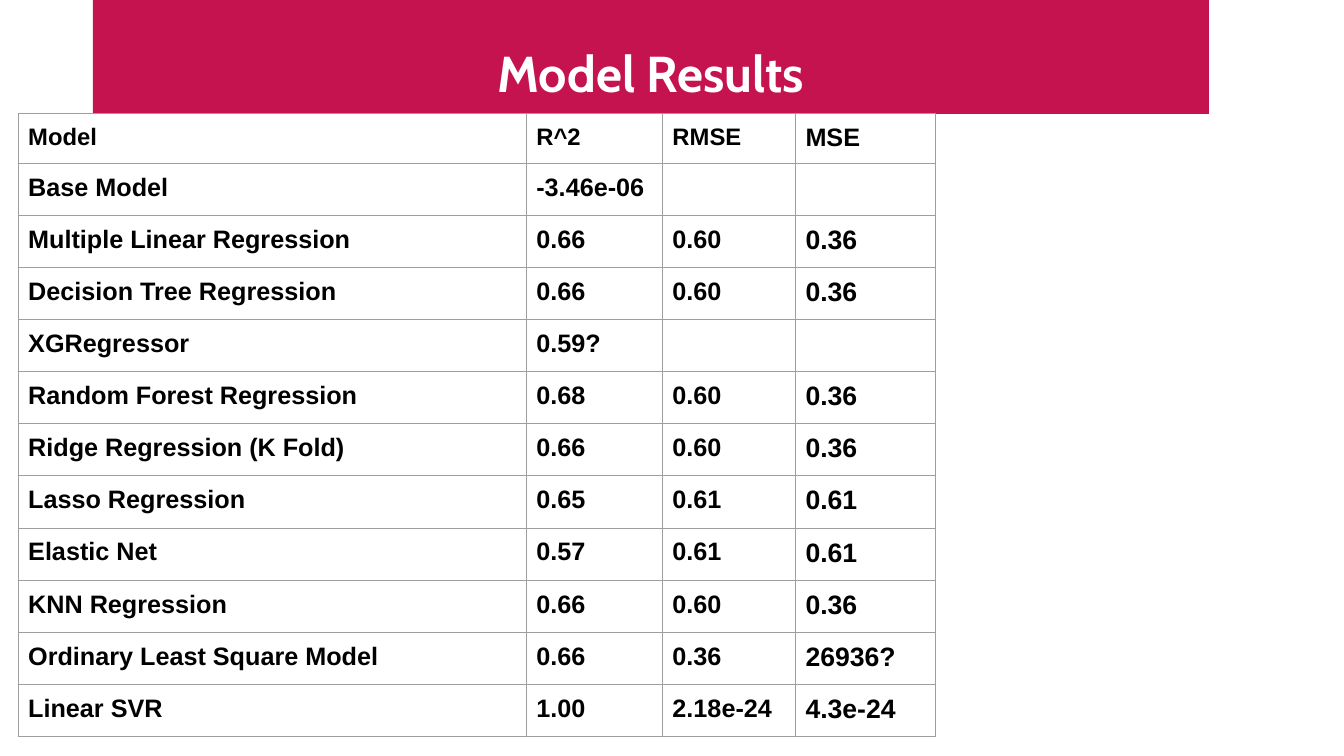
from lxml.etree import SubElement
from pptx import Presentation
from pptx.dml.color import RGBColor
from pptx.enum.text import MSO_ANCHOR, MSO_AUTO_SIZE, PP_ALIGN
from pptx.oxml.ns import qn
from pptx.util import Inches, Pt

CRIMSON, WHITE, BLACK, GREY = "C4134E", "FFFFFF", "000000", "9E9E9E"

COLUMN_WIDTHS = [5.04, 1.35, 1.32, 1.39]
TABLE_HEIGHT, HEADER_HEIGHT = 6.18, 0.49
HEADER_SIZES = [17, 17, 17, 18]
BODY_SIZES = [18, 18, 18, 19]
RESULTS = [
    ["Model", "R^2", "RMSE", "MSE"],
    ["Base Model", "-3.46e-06", "", ""],
    ["Multiple Linear Regression", "0.66", "0.60", "0.36"],
    ["Decision Tree Regression", "0.66", "0.60", "0.36"],
    ["XGRegressor", "0.59?", "", ""],
    ["Random Forest Regression", "0.68", "0.60", "0.36"],
    ["Ridge Regression (K Fold)", "0.66", "0.60", "0.36"],
    ["Lasso Regression", "0.65", "0.61", "0.61"],
    ["Elastic Net", "0.57", "0.61", "0.61"],
    ["KNN Regression", "0.66", "0.60", "0.36"],
    ["Ordinary Least Square Model", "0.66", "0.36", "26936?"],
    ["Linear SVR", "1.00", "2.18e-24", "4.3e-24"],
]


def color(value):
    return RGBColor.from_string(value)


def set_font(para, name, size, value):
    font = para.font
    font.name, font.size, font.bold = name, Pt(size), True
    font.color.rgb = color(value)


def set_margins(holder):
    for side in ("left", "top", "right", "bottom"):
        setattr(holder, f"margin_{side}", Inches(0.1))


def add_title(page, text):
    title = page.shapes.title
    title.left, title.top = Inches(0.92), Inches(0)
    title.width, title.height = Inches(11.07), Inches(1.13)
    title.fill.solid()
    title.fill.fore_color.rgb = color(CRIMSON)
    frame = title.text_frame
    frame.text = text
    frame.word_wrap = True
    frame.auto_size = MSO_AUTO_SIZE.NONE
    frame.vertical_anchor = MSO_ANCHOR.BOTTOM
    set_margins(frame)
    para = frame.paragraphs[0]
    para.alignment = PP_ALIGN.CENTER
    para.line_spacing = 0.9
    set_font(para, "Cabin", 36, WHITE)


def set_borders(cell):
    properties = cell._tc.get_or_add_tcPr()
    for position, side in enumerate(("lnL", "lnR", "lnT", "lnB")):
        line = SubElement(properties, qn(f"a:{side}"), w=str(Pt(0.75)))
        properties.insert(position, line)
        fill = SubElement(line, qn("a:solidFill"))
        SubElement(fill, qn("a:srgbClr"), val=GREY)


def fill_cell(cell, text, size):
    cell.text = text
    cell.fill.background()
    set_margins(cell)
    set_font(cell.text_frame.paragraphs[0], "Arial", size, BLACK)
    set_borders(cell)


def add_results(page):
    frame = page.shapes.add_table(
        len(RESULTS), len(COLUMN_WIDTHS), Inches(0.18), Inches(1.13),
        Inches(sum(COLUMN_WIDTHS)), Inches(TABLE_HEIGHT))
    table = frame.table
    table.first_row = table.horz_banding = False
    for column, width in zip(table.columns, COLUMN_WIDTHS):
        column.width = Inches(width)

    # The body rows share the height below the header
    body_height = (TABLE_HEIGHT - HEADER_HEIGHT) / (len(RESULTS) - 1)
    for index, (row, texts) in enumerate(zip(table.rows, RESULTS)):
        row.height = Inches(body_height if index else HEADER_HEIGHT)
        sizes = BODY_SIZES if index else HEADER_SIZES
        for cell, text, size in zip(row.cells, texts, sizes):
            fill_cell(cell, text, size)


def main():
    deck = Presentation()
    deck.slide_width, deck.slide_height = Inches(13.33), Inches(7.5)
    page = deck.slides.add_slide(deck.slide_layouts[5])
    add_title(page, "Model Results")
    add_results(page)
    deck.save("out.pptx")


if __name__ == "__main__":
    main()
